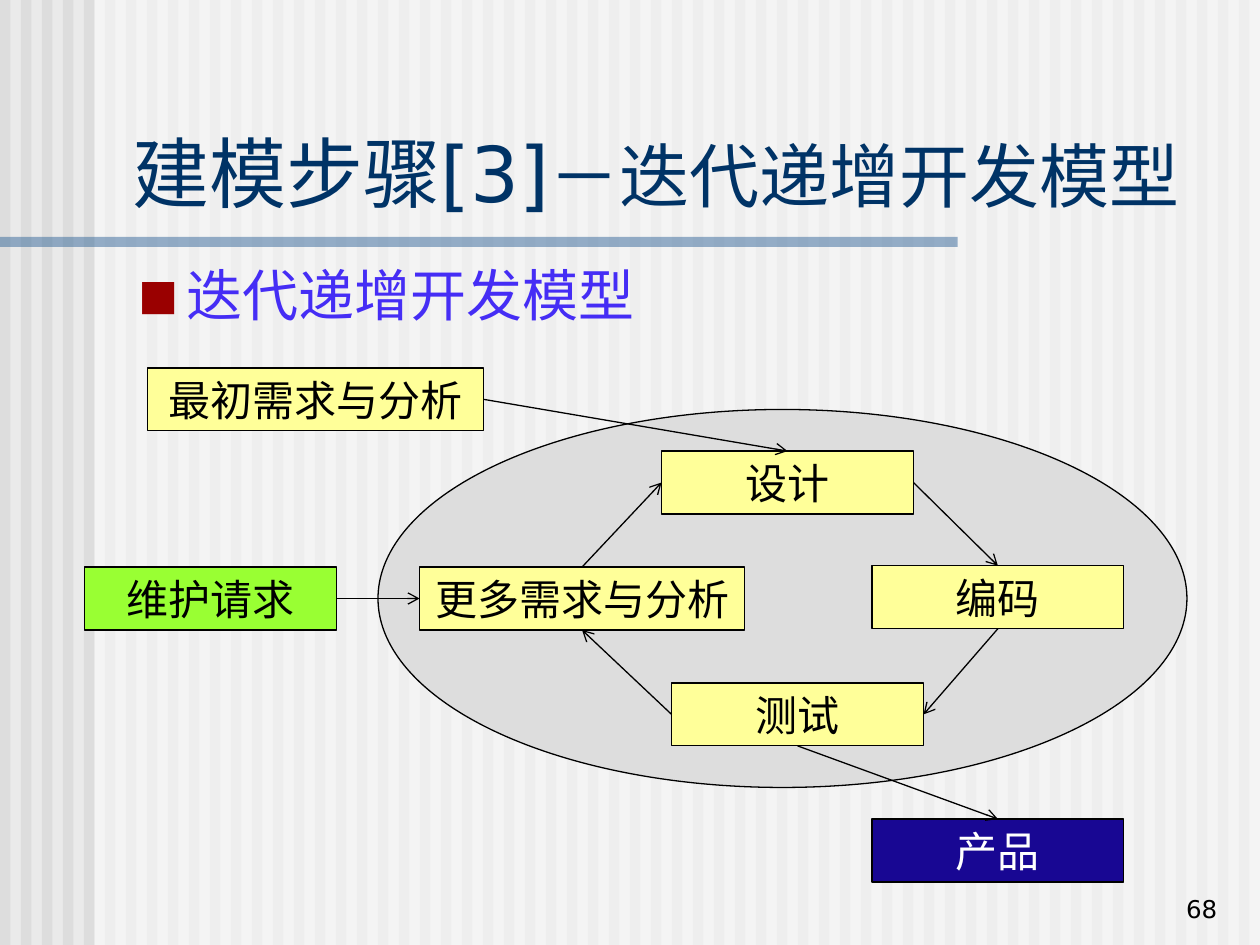
import dataclasses

import lxml.etree
import pptx
import pptx.dml.color
import pptx.enum.shapes
import pptx.enum.text
import pptx.oxml.ns
import pptx.util

Inches = pptx.util.Inches
Pt = pptx.util.Pt
qn = pptx.oxml.ns.qn
Kind = pptx.enum.shapes.MSO_SHAPE
Align = pptx.enum.text.PP_ALIGN
Anchor = pptx.enum.text.MSO_ANCHOR

WIDTH, HEIGHT = 10, 7.5
STRIPES = 60
PITCH = WIDTH / STRIPES
FONT = "DejaVu Sans"
LINE_WEIGHT = 0.75
TOP, LEFT, BOTTOM, RIGHT = range(4)
COLORS = {
    "background": "EAEAEA", "grey": "DDDDDD", "white": "FFFFFF",
    "black": "000000", "rule": "336699", "title": "003366",
    "heading": "452DF5", "bullet": "9A0000", "yellow": "FFFF99",
    "green": "99FF33", "navy": "180793",
}


@dataclasses.dataclass(frozen=True)
class Step:
    """A labelled box of the process."""
    label: str
    left: float
    top: float
    width: float = 2
    fill: str = "yellow"
    ink: str = "black"


@dataclasses.dataclass(frozen=True)
class Arrow:
    """An arrow between sides of two steps."""
    source: str
    source_side: int
    target: str
    target_side: int


STEPS = {
    "initial": Step("最初需求与分析", 1.17, 2.92, 2.67),
    "design": Step("设计", 5.25, 3.58),
    "code": Step("编码", 6.92, 4.49),
    "test": Step("测试", 5.33, 5.42),
    "product": Step("产品", 6.92, 6.5, fill="navy", ink="white"),
    "request": Step("维护请求", 0.67, 4.5, fill="green"),
    "further": Step("更多需求与分析", 3.33, 4.5, 2.58),
}
ARROWS = [
    Arrow("initial", RIGHT, "design", TOP),
    Arrow("design", RIGHT, "code", TOP),
    Arrow("code", BOTTOM, "test", RIGHT),
    Arrow("test", LEFT, "further", BOTTOM),
    Arrow("further", TOP, "design", LEFT),
    Arrow("request", RIGHT, "further", LEFT),
    Arrow("test", BOTTOM, "product", TOP),
]


def rgb(name: str) -> pptx.dml.color.RGBColor:
    """Look up a named colour."""
    return pptx.dml.color.RGBColor.from_string(COLORS[name])


def format_run(run, size: float, color: str) -> None:
    """Set the font, size and colour of a run."""
    run.font.name = FONT
    run.font.size = Pt(size)
    run.font.color.rgb = rgb(color)


def add_area(slide, kind, left: float, top: float, width: float, height: float,
             fill: str, outlined: bool = False, alpha: int = 100):
    """Draw a filled shape, with an outline or transparency if wanted."""
    area = slide.shapes.add_shape(
        kind, Inches(left), Inches(top), Inches(width), Inches(height))
    area.shadow.inherit = False
    area.fill.solid()
    area.fill.fore_color.rgb = rgb(fill)
    if alpha < 100:
        tint = area.element.spPr.find(qn("a:solidFill")).find(qn("a:srgbClr"))
        lxml.etree.SubElement(tint, qn("a:alpha")).set("val", str(alpha * 1000))
    if outlined:
        area.line.color.rgb = rgb("black")
        area.line.width = Pt(LINE_WEIGHT)
    else:
        area.line.fill.background()
    return area


def add_step(slide, step: Step):
    """Draw one step with its centred label."""
    box = add_area(slide, Kind.RECTANGLE, step.left, step.top, step.width, 0.5,
                   step.fill, outlined=True)
    frame = box.text_frame
    frame.text = step.label
    frame.word_wrap = False
    frame.vertical_anchor = Anchor.MIDDLE
    frame.paragraphs[0].alignment = Align.CENTER
    format_run(frame.paragraphs[0].runs[0], 24, step.ink)
    return box


def add_arrow(slide, arrow: Arrow, boxes: dict) -> None:
    """Connect two steps with an open arrowhead at the target."""
    link = slide.shapes.add_connector(
        pptx.enum.shapes.MSO_CONNECTOR.STRAIGHT, 0, 0, 0, 0)
    link.begin_connect(boxes[arrow.source], arrow.source_side)
    link.end_connect(boxes[arrow.target], arrow.target_side)
    link.line.color.rgb = rgb("black")
    link.line.width = Pt(LINE_WEIGHT)
    outline = link.element.spPr.find(qn("a:ln"))
    lxml.etree.SubElement(outline, qn("a:tailEnd")).set("type", "arrow")
    lxml.etree.SubElement(link.element.spPr, qn("a:effectLst"))


def add_text(slide, text: str, left: float, top: float, width: float,
             height: float, size: float, color: str):
    """Add a wrapped line of text and return its frame."""
    frame = slide.shapes.add_textbox(
        Inches(left), Inches(top), Inches(width), Inches(height)).text_frame
    frame.word_wrap = True
    frame.text = text
    format_run(frame.paragraphs[0].runs[0], size, color)
    return frame


def add_bullet(paragraph, indent: float) -> None:
    """Give a paragraph a small square bullet with a hanging indent."""
    properties = paragraph._p.get_or_add_pPr()
    properties.set("marL", str(Inches(indent)))
    properties.set("indent", str(-Inches(indent)))
    tint = lxml.etree.SubElement(properties, qn("a:buClr"))
    lxml.etree.SubElement(tint, qn("a:srgbClr")).set("val", COLORS["bullet"])
    lxml.etree.SubElement(properties, qn("a:buSzPct")).set("val", "75000")
    lxml.etree.SubElement(properties, qn("a:buFont")).set("typeface", FONT)
    lxml.etree.SubElement(properties, qn("a:buChar")).set("char", "■")


def add_backdrop(slide) -> None:
    """Draw the stripes, the pale veil over them and the title rule."""
    slide.background.fill.solid()
    slide.background.fill.fore_color.rgb = rgb("background")
    for column in range(STRIPES):
        add_area(slide, Kind.RECTANGLE, column * PITCH, 0, PITCH / 2, HEIGHT, "grey")
    add_area(slide, Kind.RECTANGLE, 0.75, 0, WIDTH - 0.75, HEIGHT, "white", alpha=50)
    add_area(slide, Kind.RECTANGLE, 0, 1.88, 7.6, 0.08, "rule", alpha=50)


def set_title(slide) -> None:
    """Fill the title placeholder and bring it in front of the backdrop."""
    title = slide.shapes.title
    title.left, title.top = Inches(0.95), Inches(0.94)
    title.width, title.height = Inches(8.93), Inches(0.84)
    frame = title.text_frame
    frame.auto_size = pptx.enum.text.MSO_AUTO_SIZE.NONE
    frame.vertical_anchor = Anchor.BOTTOM
    paragraph = frame.paragraphs[0]
    paragraph.alignment = Align.LEFT
    for text, size in (("建模步骤[3]", 44), ("-迭代递增开发模型".replace("-", "-"), 40)):
        run = paragraph.add_run()
        run.text = text.replace("-", "\uff0d")
        format_run(run, size, "title")
    slide.shapes.element.append(title.element)


def main() -> None:
    """Build and save the slide."""
    deck = pptx.Presentation()
    deck.slide_width, deck.slide_height = Inches(WIDTH), Inches(HEIGHT)
    slide = deck.slides.add_slide(deck.slide_layouts.get_by_name("Title Only"))
    add_backdrop(slide)
    add_area(slide, Kind.OVAL, 3, 3.25, 6.42, 3, "grey", outlined=True)
    set_title(slide)

    heading = add_text(slide, "迭代递增开发模型", 1, 2.08, 8.87, 0.58, 32, "heading")
    heading.paragraphs[0].line_spacing = 0.9
    heading.paragraphs[0].space_before = Pt(8)
    add_bullet(heading.paragraphs[0], 0.38)

    boxes = {name: add_step(slide, step) for name, step in STEPS.items()}
    for arrow in ARROWS:
        add_arrow(slide, arrow, boxes)

    number = add_text(slide, "68", 7.68, 6.88, 2.08, 0.5, 14, "black")
    number.vertical_anchor = Anchor.BOTTOM
    number.paragraphs[0].alignment = Align.RIGHT
    deck.save("out.pptx")


main()
